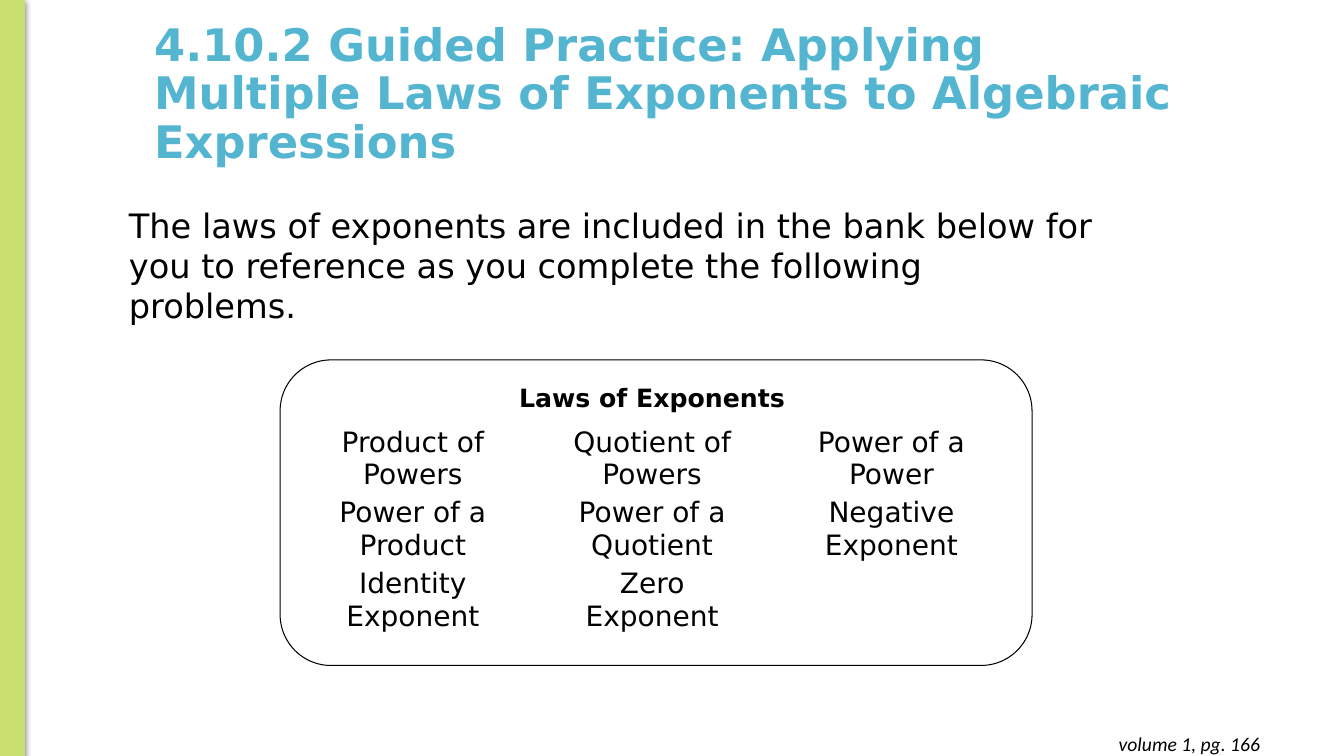
from lxml.etree import SubElement
from pptx import Presentation
from pptx.dml.color import RGBColor
from pptx.enum.shapes import MSO_SHAPE as Shape
from pptx.enum.text import MSO_ANCHOR as Anchor, MSO_AUTO_SIZE as AutoSize, PP_ALIGN as Align
from pptx.oxml.ns import qn
from pptx.util import Cm, Pt

BLACK = RGBColor(0x00, 0x00, 0x00)
WHITE = RGBColor(0xFF, 0xFF, 0xFF)
LIME = RGBColor(0xC9, 0xDF, 0x6F)
SKY = RGBColor(0x54, 0xB5, 0xD1)

LAWS = [
    ["Product of Powers", "Quotient of Powers", "Power of a\nPower"],
    ["Power of a Product", "Power of a Quotient", "Negative Exponent"],
    ["Identity Exponent", "Zero\nExponent", ""],
]


class SlideBuilder:
    """Holds the text style and the current slide."""

    font_name = "DejaVu Sans"

    def __init__(self, slide):
        self.slide = slide

    def add_lines(self, frame, text, size, color=BLACK, align=Align.LEFT,
                  bold=False, italic=False, font_name=None):
        frame.word_wrap = True
        for index, line in enumerate(text.split("\n")):
            paragraph = frame.paragraphs[0] if index == 0 else frame.add_paragraph()
            paragraph.alignment = align
            run = paragraph.add_run()
            run.text = line
            run.font.name = font_name or self.font_name
            run.font.size = Pt(size)
            run.font.color.rgb = color
            run.font.bold = bold
            run.font.italic = italic

    def title(self, text, left, top, width, height):
        shape = self.slide.shapes.title
        shape.left, shape.top, shape.width, shape.height = map(Cm, (left, top, width, height))
        frame = shape.text_frame
        frame.auto_size = AutoSize.NONE
        frame.vertical_anchor = Anchor.MIDDLE
        self.add_lines(frame, text, 32, SKY, bold=True)
        frame.paragraphs[0].line_spacing = 0.9

    def text(self, text, left, top, width, height, size, **style):
        box = self.slide.shapes.add_textbox(Cm(left), Cm(top), Cm(width), Cm(height))
        self.add_lines(box.text_frame, text, size, **style)
        return box.text_frame

    def panel(self, kind, left, top, width, height, fill, line):
        shape = self.slide.shapes.add_shape(kind, Cm(left), Cm(top), Cm(width), Cm(height))
        shape.shadow.inherit = False
        shape.fill.solid()
        shape.fill.fore_color.rgb = fill
        shape.line.color.rgb = line
        shape.line.width = Pt(0.75)
        return shape

    def drop_shadow(self, shape):
        effects = shape._element.spPr.find(qn("a:effectLst"))
        shadow = SubElement(effects, qn("a:outerShdw"), blurRad=str(Pt(4.5)),
                            dist=str(Pt(1.5)), dir="5400000", rotWithShape="0")
        color = SubElement(shadow, qn("a:srgbClr"), val=str(BLACK))
        SubElement(color, qn("a:alpha"), val="50000")

    def table(self, rows, left, top, column_width, row_height):
        columns = len(rows[0])
        table = self.slide.shapes.add_table(
            len(rows), columns, Cm(left), Cm(top),
            Cm(column_width * columns), Cm(row_height * len(rows))).table
        table.first_row = table.horz_banding = False
        for row, texts in zip(table.rows, rows):
            row.height = Cm(row_height)
            for cell, text in zip(row.cells, texts):
                cell.fill.background()
                cell.vertical_anchor = Anchor.MIDDLE
                cell.margin_left = cell.margin_right = Cm(0.18)
                cell.margin_top = cell.margin_bottom = 0
                if text:
                    self.add_lines(cell.text_frame, text, 20, align=Align.CENTER)
        for column in table.columns:
            column.width = Cm(column_width)


def main():
    presentation = Presentation()
    presentation.slide_width, presentation.slide_height = Cm(33.87), Cm(19.05)
    builder = SlideBuilder(presentation.slides.add_slide(presentation.slide_layouts[5]))

    # Heading and side bar
    builder.title("4.10.2 Guided Practice: Applying Multiple Laws of Exponents "
                  "to Algebraic Expressions", 3.63, 0.56, 26.52, 3.68)
    side_bar = builder.panel(Shape.RECTANGLE, 0, 0, 0.61, 19.08, LIME, LIME)
    builder.drop_shadow(side_bar)

    # Instructions
    builder.text("The laws of exponents are included in the bank below for you to "
                 "reference as you complete the following problems.",
                 3, 5.03, 24.92, 3.33, 24)

    # Bank of laws
    bank = builder.panel(Shape.ROUNDED_RECTANGLE, 7.06, 9.07, 18.95, 7.7, WHITE, BLACK)
    bank_frame = bank.text_frame
    bank_frame.vertical_anchor = Anchor.TOP
    bank_frame.margin_top = Cm(0.18)
    bank_frame.margin_right = Cm(0.45)
    builder.add_lines(bank_frame, "Laws of Exponents", 18, align=Align.CENTER, bold=True)
    builder.table(LAWS, 7.39, 10.67, 6.03, 1.78)

    # Page reference
    reference = builder.text("volume 1, pg. 166", 24.69, 18.19, 7.32, 1.12, 14,
                             align=Align.RIGHT, italic=True, font_name="Calibri")
    reference.margin_top = reference.margin_bottom = Cm(0.25)

    presentation.save("out.pptx")


if __name__ == "__main__":
    main()
